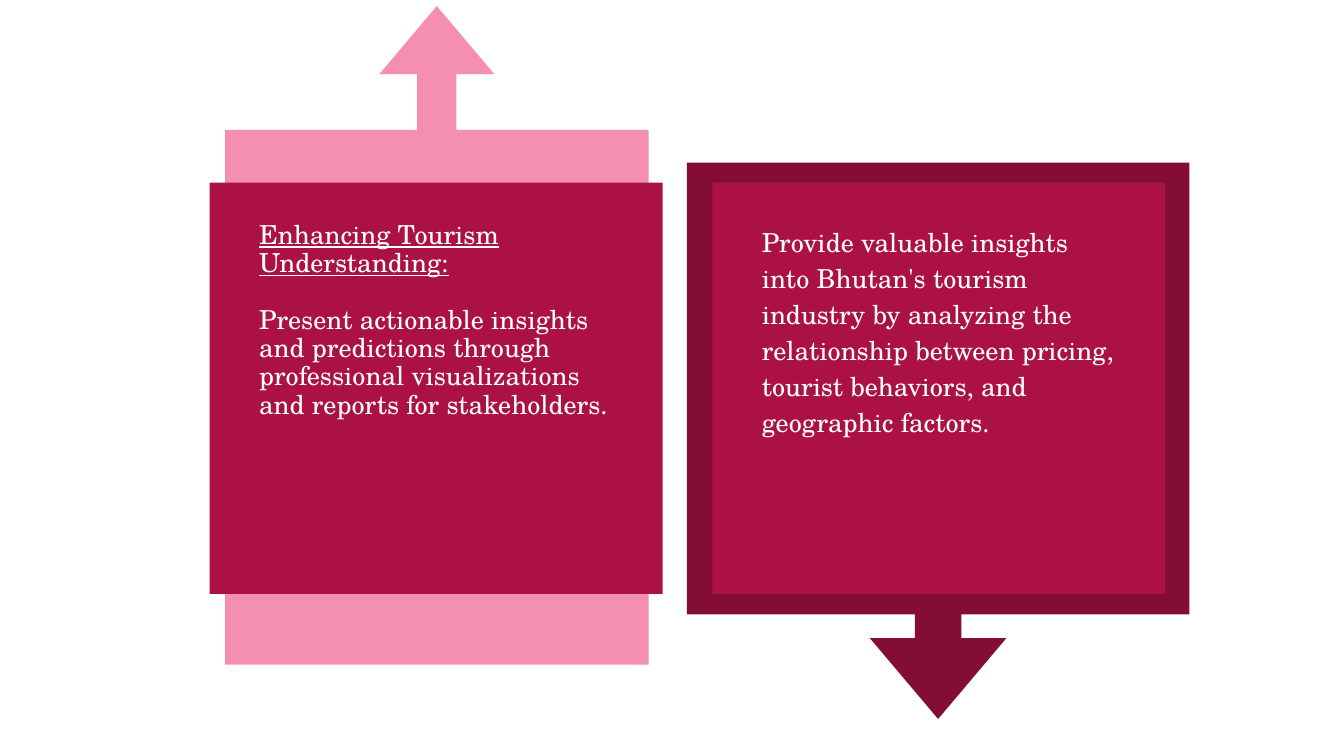
from dataclasses import dataclass

from pptx import Presentation
from pptx.dml.color import RGBColor
from pptx.enum.shapes import MSO_SHAPE as Preset
from pptx.enum.text import MSO_ANCHOR as Anchor, PP_ALIGN as Align
from pptx.util import Inches, Pt

COLORS = {"pink": "F48FB1", "crimson": "AC1146", "wine": "840D35", "white": "FFFFFF"}
FONT = "TeX Gyre Schola"
SLIDE_WIDTH = 10
SLIDE_HEIGHT = SLIDE_WIDTH * 9 / 16
CALLOUT_ADJUSTMENTS = (0.093, 0.136, 0.161, 0.812)


@dataclass(frozen=True)
class Box:
    left: float
    top: float
    width: float
    height: float

    def lengths(self) -> tuple:
        return tuple(map(Inches, (self.left, self.top, self.width, self.height)))


@dataclass(frozen=True)
class Line:
    text: str
    underline: bool = False
    spacing: float = 0.9
    before: float = 0
    after: float = 0


@dataclass(frozen=True)
class Panel:
    arrow: Box
    arrow_color: str
    rotation: int
    card: Box
    text_area: Box
    lines: tuple


PANELS = (
    Panel(
        Box(0.8, 0.92, 4.9, 3.15), "pink", 270,
        Box(1.56, 1.36, 3.37, 3.06), Box(1.83, 1.55, 2.83, 2.55),
        (
            Line("Enhancing Tourism Understanding:", underline=True),
            Line("Present actionable insights and predictions through professional "
                 "visualizations and reports for stakeholders.", before=15.3),
        ),
    ),
    Panel(
        Box(4.91, 1.41, 4.14, 3.74), "wine", 90,
        Box(5.3, 1.36, 3.37, 3.06), Box(5.57, 1.55, 2.83, 2.55),
        (
            Line("Provide valuable insights into Bhutan's tourism industry by analyzing "
                 "the relationship between pricing, tourist behaviors, and geographic "
                 "factors.", spacing=1.15, before=16, after=16),
        ),
    ),
)


def add_block(slide, preset: Preset, box: Box, color: str,
              adjustments: tuple, rotation: int = 0) -> None:
    block = slide.shapes.add_shape(preset, *box.lengths())
    for index, value in enumerate(adjustments):
        block.adjustments[index] = value
    block.rotation = rotation
    block.shadow.inherit = False
    block.fill.solid()
    block.fill.fore_color.rgb = RGBColor.from_string(COLORS[color])
    block.line.fill.background()


def write_line(paragraph, text: str, *, underline: bool, spacing: float,
               before: float, after: float, size: float = 14,
               color: str = "white") -> None:
    paragraph.alignment = Align.LEFT
    paragraph.line_spacing = spacing
    paragraph.space_before = Pt(before)
    paragraph.space_after = Pt(after)
    run = paragraph.add_run()
    run.text = text
    run.font.name = FONT
    run.font.size = Pt(size)
    run.font.underline = underline
    run.font.color.rgb = RGBColor.from_string(COLORS[color])


def add_text(slide, box: Box, lines: tuple) -> None:
    frame = slide.shapes.add_textbox(*box.lengths()).text_frame
    frame.word_wrap = True
    frame.vertical_anchor = Anchor.TOP
    frame.margin_left = frame.margin_right = Inches(0.1)
    frame.margin_top = frame.margin_bottom = Inches(0.1)
    for index, line in enumerate(lines):
        paragraph = frame.add_paragraph() if index else frame.paragraphs[0]
        write_line(paragraph, line.text, underline=line.underline,
                   spacing=line.spacing, before=line.before, after=line.after)


def add_panel(slide, panel: Panel) -> None:
    # Arrow callout behind, card in front, text on top
    add_block(slide, Preset.RIGHT_ARROW_CALLOUT, panel.arrow, panel.arrow_color,
              CALLOUT_ADJUSTMENTS, panel.rotation)
    add_block(slide, Preset.SNIP_1_RECTANGLE, panel.card, "crimson", (0,))
    add_text(slide, panel.text_area, panel.lines)


def main() -> None:
    presentation = Presentation()
    presentation.slide_width = Inches(SLIDE_WIDTH)
    presentation.slide_height = Inches(SLIDE_HEIGHT)

    # Blank layout: this slide has no title
    slide = presentation.slides.add_slide(presentation.slide_layouts[6])
    for panel in PANELS:
        add_panel(slide, panel)

    presentation.save("out.pptx")


if __name__ == "__main__":
    main()
